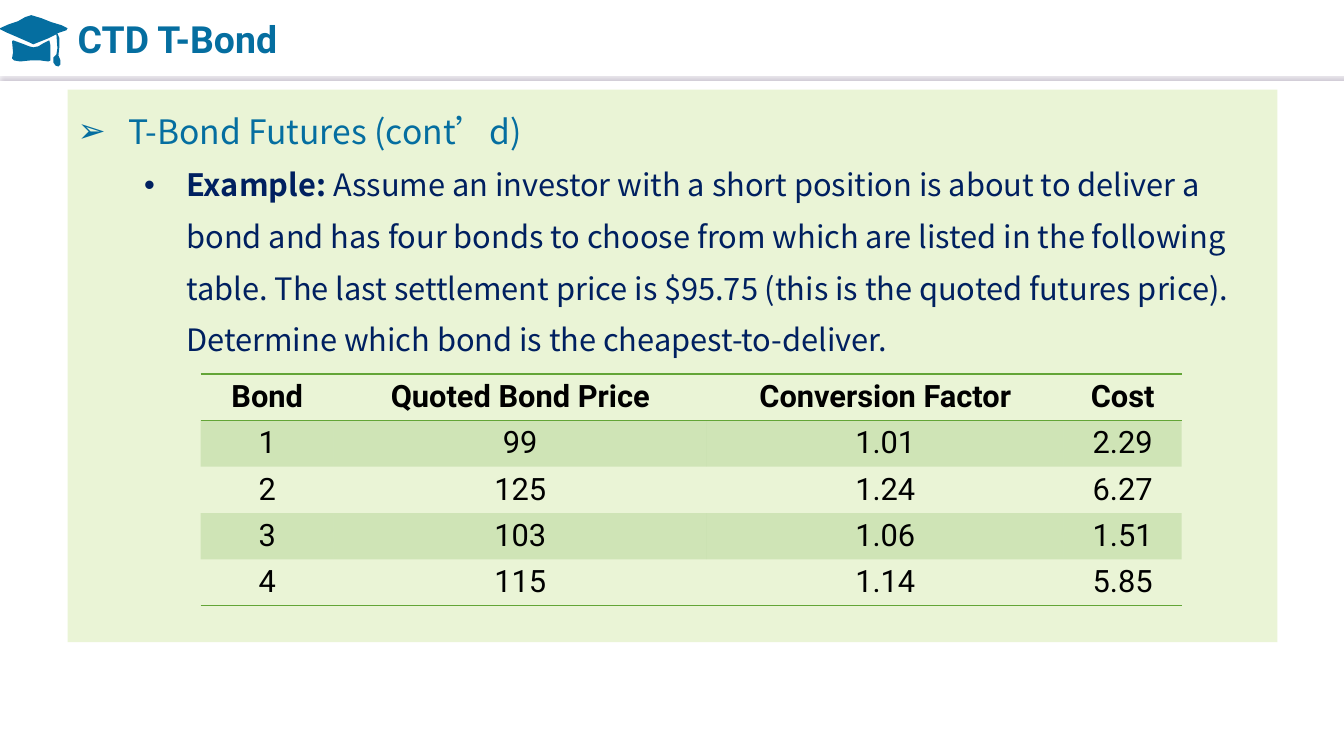
from pptx import Presentation
from pptx.dml.color import RGBColor
from pptx.enum.shapes import MSO_CONNECTOR
from pptx.enum.text import MSO_ANCHOR, MSO_AUTO_SIZE, PP_ALIGN
from pptx.oxml import parse_xml
from pptx.oxml.ns import nsdecls, qn
from pptx.oxml.xmlchemy import OxmlElement
from pptx.util import Inches, Pt

STRAIGHT = MSO_CONNECTOR.STRAIGHT
MIDDLE, TOP = MSO_ANCHOR.MIDDLE, MSO_ANCHOR.TOP
NO_AUTOFIT = MSO_AUTO_SIZE.NONE
LEFT, CENTER = PP_ALIGN.LEFT, PP_ALIGN.CENTER
COLORS = {
    "blue": "056EA0", "navy": "002060", "black": "000000", "white": "FFFFFF",
    "panel": "D6EAAF", "green": "63A537", "shadow": "BCB4C4",
}
HEADING_FONT, BODY_FONT = "Roboto", "Noto Sans CJK SC"
PLAIN_TABLE_STYLE = "{2D5ABB26-0587-4C30-8999-92F81FD0307C}"

CAP_CONTOURS = [
    [(31, 15), (41, 18), (51, 22), (61, 25), (67, 28), (66, 30), (57, 33), (59, 38),
     (59, 46), (58, 55), (60, 60), (60, 64), (58, 66), (55, 65), (53, 62), (53, 57),
     (56, 54), (57, 48), (56, 34), (48, 38), (38, 42), (33, 44), (29, 42), (13, 35),
     (6, 32), (0, 29), (0, 28), (9, 24), (18, 21), (25, 17)],
    [(13, 40), (24, 44), (29, 46), (33, 47), (38, 46), (43, 43), (49, 40), (50, 45),
     (50, 60), (48, 61), (40, 60), (30, 60), (20, 61), (14, 60), (12, 58), (13, 52),
     (12, 41)],
]
BODY = [
    {"indent": 0.5, "hanging": 0.5, "bullet": "➢", "level": 0,
     "runs": [("T-Bond Futures (cont’d)", {"size": 24, "color": "blue"})]},
    {"indent": 1.08, "hanging": 0.42, "bullet": "•", "level": 1,
     "runs": [
         ("Example: ", {"size": 22, "color": "navy", "bold": True}),
         ("Assume an investor with a short position is about to deliver a bond and has "
          "four bonds to choose from which are listed in the following table. The last "
          "settlement price is $95.75 (this is the quoted futures price). Determine "
          "which bond is the cheapest-to-deliver.", {"size": 22, "color": "navy"}),
     ]},
]
BONDS = [
    ("Bond", "Quoted Bond Price", "Conversion Factor", "Cost"),
    ("1", "99", "1.01", "2.29"),
    ("2", "125", "1.24", "6.27"),
    ("3", "103", "1.06", "1.51"),
    ("4", "115", "1.14", "5.85"),
]
COLUMN_WIDTHS = (1.32, 3.7, 3.54, 1.17)
ROW_HEIGHT = 0.46


def rgb(name):
    return RGBColor.from_string(COLORS[name])


def add_text(paragraph, text, *, size, color, font, bold=False):
    run = paragraph.add_run()
    run.text = text
    run.font.size = Pt(size)
    run.font.bold = bold
    run.font.name = font
    run.font.color.rgb = rgb(color)
    east_asian = OxmlElement("a:ea")
    east_asian.set("typeface", font)
    run.font._element.find(qn("a:latin")).addnext(east_asian)


def fill_shape(fill, color, opacity=100):
    fill.solid()
    fill.fore_color.rgb = rgb(color)
    if opacity < 100:
        alpha = OxmlElement("a:alpha")
        alpha.set("val", str(opacity * 1000))
        fill._xPr.find(qn("a:solidFill"))[0].append(alpha)


def place(shape, left, top, width, height):
    shape.left, shape.top = Inches(left), Inches(top)
    shape.width, shape.height = Inches(width), Inches(height)


def set_bullet(paragraph, bullet, indent, hanging):
    properties = paragraph._p.get_or_add_pPr()
    properties.set("marL", str(Inches(indent)))
    properties.set("indent", str(-Inches(hanging)))
    character = OxmlElement("a:buChar")
    character.set("char", bullet)
    properties.append(character)


def add_divider(slide):
    line = slide.shapes.add_connector(
        STRAIGHT, Inches(0), Inches(0.74), Inches(13.33), Inches(0.74))
    line.line.color.rgb = rgb("white")
    line.line.width = Pt(0.75)
    line._element.spPr.append(parse_xml(
        f'<a:effectLst {nsdecls("a")}><a:outerShdw blurRad="{Pt(1)}" dist="{Pt(3)}" '
        f'dir="5400000" algn="t" rotWithShape="0"><a:srgbClr val="{COLORS["shadow"]}"/>'
        '</a:outerShdw></a:effectLst>'))


def add_graduation_cap(slide):
    brim, base = CAP_CONTOURS
    builder = slide.shapes.build_freeform(*brim[0], scale=Inches(0.01))
    builder.add_line_segments(brim[1:], close=True)
    builder.move_to(*base[0])
    builder.add_line_segments(base[1:], close=True)
    cap = builder.convert_to_shape()
    cap.shadow.inherit = False
    fill_shape(cap.fill, "blue")
    cap.line.fill.background()


def add_title(slide, text):
    title = slide.shapes.title
    place(title, 0.67, 0.07, 7.36, 0.63)
    title.text_frame.vertical_anchor = MIDDLE
    title.text_frame.auto_size = NO_AUTOFIT
    paragraph = title.text_frame.paragraphs[0]
    paragraph.alignment = LEFT
    add_text(paragraph, text, size=26.7, color="blue", font=HEADING_FONT, bold=True)


def add_body(slide):
    body = slide.placeholders[1]
    place(body, 0.67, 0.89, 12, 5.48)
    fill_shape(body.fill, "panel", 50)
    frame = body.text_frame
    frame.word_wrap = True
    frame.vertical_anchor = TOP
    frame.auto_size = NO_AUTOFIT
    for index, item in enumerate(BODY):
        paragraph = frame.add_paragraph() if index else frame.paragraphs[0]
        paragraph.level = item["level"]
        paragraph.line_spacing = 1.4
        paragraph.space_before = Pt(0)
        set_bullet(paragraph, item["bullet"], item["indent"], item["hanging"])
        for text, style in item["runs"]:
            add_text(paragraph, text, font=BODY_FONT, **style)


def add_border(cell, tag):
    border = parse_xml(
        f'<a:{tag} {nsdecls("a")} w="{Pt(1)}"><a:solidFill>'
        f'<a:srgbClr val="{COLORS["green"]}"/></a:solidFill></a:{tag}>')
    cell._tc.get_or_add_tcPr().insert(0, border)


def add_bond_table(slide):
    frame = slide.shapes.add_table(
        len(BONDS), len(COLUMN_WIDTHS), Inches(1.99), Inches(3.71),
        Inches(sum(COLUMN_WIDTHS)), Inches(ROW_HEIGHT * len(BONDS)))
    table = frame.table
    table._tbl.tblPr.find(qn("a:tableStyleId")).text = PLAIN_TABLE_STYLE
    table.horz_banding = False
    for column, width in zip(table.columns, COLUMN_WIDTHS):
        column.width = Inches(width)
    for row_index, values in enumerate(BONDS):
        table.rows[row_index].height = Inches(ROW_HEIGHT)
        for column_index, value in enumerate(values):
            cell = table.cell(row_index, column_index)
            paragraph = cell.text_frame.paragraphs[0]
            paragraph.alignment = CENTER
            add_text(paragraph, value, size=22, color="black", font=HEADING_FONT,
                     bold=row_index == 0)
            if row_index % 2:
                fill_shape(cell.fill, "green", 20)
            else:
                cell.fill.background()
            if row_index in (0, len(BONDS) - 1):
                add_border(cell, "lnB")
            if row_index == 0:
                add_border(cell, "lnT")


def main():
    presentation = Presentation()
    presentation.slide_width = Inches(13.33)
    presentation.slide_height = Inches(7.5)
    slide = presentation.slides.add_slide(presentation.slide_layouts[1])
    add_divider(slide)
    add_graduation_cap(slide)
    add_body(slide)
    add_title(slide, "CTD T-Bond")
    add_bond_table(slide)
    presentation.save("out.pptx")


if __name__ == "__main__":
    main()
